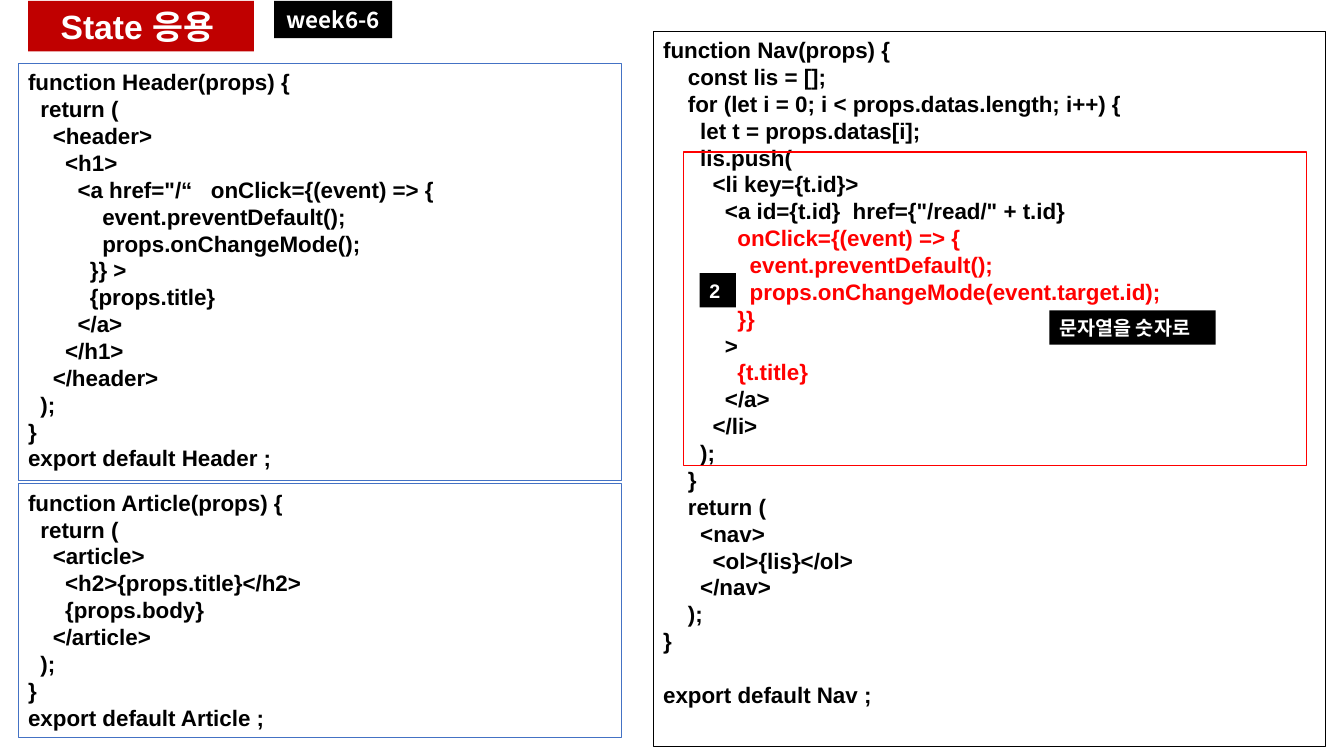
from dataclasses import dataclass

from lxml import etree
from pptx import Presentation
from pptx.dml.color import RGBColor
from pptx.enum.shapes import MSO_SHAPE
from pptx.enum.text import MSO_ANCHOR, PP_ALIGN
from pptx.oxml.ns import qn
from pptx.util import Inches, Pt

RECTANGLE = MSO_SHAPE.RECTANGLE
LEFT, CENTER = PP_ALIGN.LEFT, PP_ALIGN.CENTER
TOP, MIDDLE = MSO_ANCHOR.TOP, MSO_ANCHOR.MIDDLE

SLIDE_WIDTH, SLIDE_HEIGHT = Inches(13.33), Inches(7.5)
LATIN_FONT, KOREAN_FONT = "Arial", "Noto Sans CJK KR"
BLACK, WHITE, RED, DARK_RED, BLUE = "000000", "FFFFFF", "FF0000", "C00000", "4472C4"
CODE_LINE_HEIGHT = Pt(19.2)

HEADER_CODE = """function Header(props) {
  return (
    <header>
      <h1>
        <a href="/“   onClick={(event) => {
            event.preventDefault();
            props.onChangeMode();
          }} >
          {props.title}
        </a>
      </h1>
    </header>
  );
}
export default Header ;"""

ARTICLE_CODE = """function Article(props) {
  return (
    <article>
      <h2>{props.title}</h2>
      {props.body}
    </article>
  );
}
export default Article ;"""

NAV_CODE = """function Nav(props) {
    const lis = [];
    for (let i = 0; i < props.datas.length; i++) {
      let t = props.datas[i];
      lis.push(
        <li key={t.id}>
          <a id={t.id}  href={"/read/" + t.id}
            onClick={(event) => {
              event.preventDefault();
              props.onChangeMode(event.target.id);
            }}
          >
            {t.title}
          </a>
        </li>
      );
    }
    return (
      <nav>
        <ol>{lis}</ol>
      </nav>
    );
}

export default Nav ;"""
NAV_RED_LINES = (7, 8, 9, 10, 12)


@dataclass(frozen=True)
class Area:
    """Left, top, width and height in percent of the slide's size."""
    left: float
    top: float
    width: float
    height: float


@dataclass(frozen=True)
class CodePanel:
    area: Area
    code: str
    border: str
    red_lines: tuple[int, ...] = ()


@dataclass(frozen=True)
class Label:
    area: Area
    text: str
    size: int = 14
    font: str = LATIN_FONT
    align: PP_ALIGN = LEFT


CODE_PANELS = (
    CodePanel(Area(1.35, 8.4, 44.93, 55.2), HEADER_CODE, BLUE),
    CodePanel(Area(48.6, 4.13, 50.03, 94.67), NAV_CODE, BLACK, NAV_RED_LINES),
    CodePanel(Area(1.35, 64, 44.93, 33.6), ARTICLE_CODE, BLUE),
)
LABELS = (
    Label(Area(78.08, 41.07, 12.38, 4.53), "문자열을 숫자로"),
    Label(Area(52.05, 36.13, 2.7, 4.53), "2"),
    Label(Area(20.4, 0.13, 8.78, 4.93), "week6-6", 16, KOREAN_FONT, CENTER),
)
PUSH_FRAME = Area(50.85, 20.13, 46.35, 41.47)
TITLE_AREA = Area(2.1, 0.13, 16.8, 6.67)


def rgb(color: str) -> RGBColor:
    return RGBColor.from_string(color)


def place(shape, area: Area) -> None:
    shape.left = round(SLIDE_WIDTH * area.left / 100)
    shape.top = round(SLIDE_HEIGHT * area.top / 100)
    shape.width = round(SLIDE_WIDTH * area.width / 100)
    shape.height = round(SLIDE_HEIGHT * area.height / 100)


def add_rectangle(slide, area: Area, fill: str | None = None,
                  border: str | None = None, border_width: float = 0.75):
    rectangle = slide.shapes.add_shape(RECTANGLE, 0, 0, 0, 0)
    place(rectangle, area)
    rectangle.shadow.inherit = False
    if fill:
        rectangle.fill.solid()
        rectangle.fill.fore_color.rgb = rgb(fill)
    else:
        rectangle.fill.background()
    if border:
        rectangle.line.color.rgb = rgb(border)
        rectangle.line.width = Pt(border_width)
    else:
        rectangle.line.fill.background()
    return rectangle


def write(shape, text: str, size: int, color: str, font: str = LATIN_FONT,
          align: PP_ALIGN = LEFT, anchor: MSO_ANCHOR = MIDDLE) -> None:
    frame = shape.text_frame
    frame.text = text
    frame.word_wrap = True
    frame.vertical_anchor = anchor
    for paragraph in frame.paragraphs:
        paragraph.alignment = align
        for run in paragraph.runs:
            run.font.name = font
            run.font.size = Pt(size)
            run.font.bold = True
            run.font.color.rgb = rgb(color)
            latin = run.font._element.find(qn("a:latin"))
            east_asian = etree.Element(qn("a:ea"), typeface=KOREAN_FONT)
            latin.addnext(east_asian)


def add_code_panel(slide, panel: CodePanel) -> None:
    rectangle = add_rectangle(slide, panel.area, border=panel.border)
    write(rectangle, panel.code, 16, BLACK, anchor=TOP)
    for number, paragraph in enumerate(rectangle.text_frame.paragraphs):
        paragraph.line_spacing = CODE_LINE_HEIGHT
        if number in panel.red_lines:
            paragraph.runs[0].font.color.rgb = rgb(RED)


def add_label(slide, label: Label) -> None:
    rectangle = add_rectangle(slide, label.area, fill=BLACK)
    write(rectangle, label.text, label.size, WHITE, label.font, label.align)


def add_title(slide) -> None:
    title = slide.shapes.title
    place(title, TITLE_AREA)
    title.fill.solid()
    title.fill.fore_color.rgb = rgb(DARK_RED)
    write(title, "State 응용 ", 24, WHITE, align=CENTER)


def main() -> None:
    presentation = Presentation()
    presentation.slide_width = SLIDE_WIDTH
    presentation.slide_height = SLIDE_HEIGHT
    slide = presentation.slides.add_slide(presentation.slide_layouts[5])
    add_title(slide)
    for panel in CODE_PANELS:
        add_code_panel(slide, panel)
    for label in LABELS:
        add_label(slide, label)
    add_rectangle(slide, PUSH_FRAME, border=RED, border_width=1)
    presentation.save("out.pptx")


if __name__ == "__main__":
    main()
